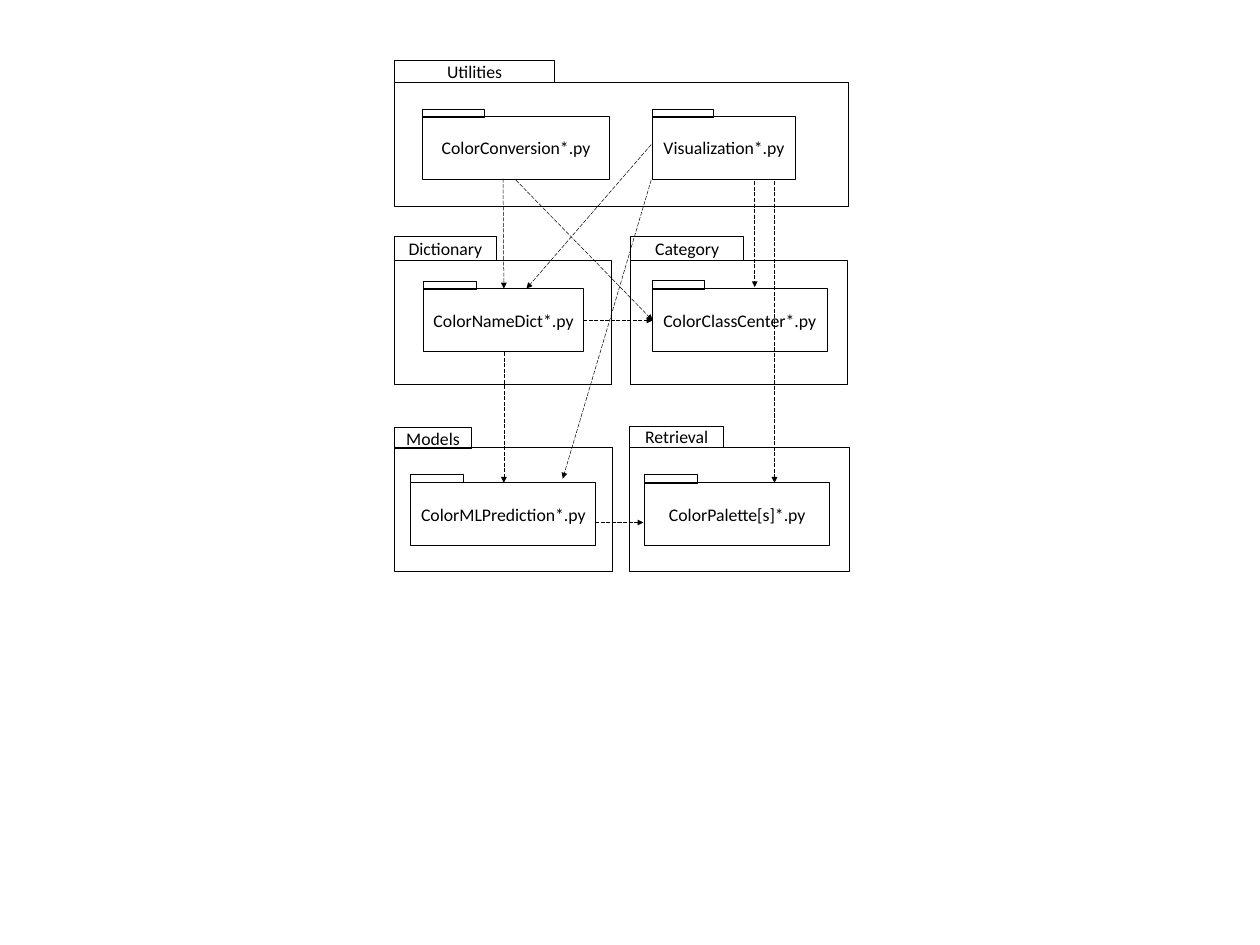
from lxml.etree import SubElement
from pptx import Presentation
from pptx.dml.color import RGBColor
from pptx.enum.dml import MSO_LINE
from pptx.enum.shapes import MSO_CONNECTOR, MSO_SHAPE
from pptx.enum.text import MSO_ANCHOR, PP_ALIGN
from pptx.oxml.ns import qn
from pptx.util import Cm, Pt

SLIDE_SIZE = (45.16, 33.86)
INK = "000000"
FONT = "Calibri"

PACKAGE_HEIGHT = 4.45
# name, left, top, width, tab top, tab width, tab height
PACKAGES = [
    ("Category", 22.61, 9.32, 7.77, 8.48, 4.04, 0.84),
    ("Dictionary", 14.15, 9.32, 7.77, 8.48, 3.63, 0.84),
    ("Models", 14.15, 16.03, 7.82, 15.32, 2.74, 0.76),
    ("Retrieval", 22.58, 16.03, 7.87, 15.27, 3.35, 0.76),
    ("Utilities", 14.15, 2.95, 16.26, 2.18, 5.72, 0.76),
]

MODULE_HEIGHT = 2.26
MODULE_TAB_HEIGHT = 0.3
# name, left, top, width, tab top, tab width
MODULES = [
    ("ColorClassCenter*.py", 23.38, 10.34, 6.27, 10.06, 1.88),
    ("ColorMLPrediction*.py", 14.73, 17.3, 6.63, 16.99, 1.88),
    ("ColorPalette[s]*.py", 23.11, 17.3, 6.63, 17.02, 1.88),
    ("ColorNameDict*.py", 15.19, 10.34, 5.72, 10.08, 1.88),
    ("Visualization*.py", 23.37, 4.17, 5.16, 3.91, 2.21),
    ("ColorConversion*.py", 15.16, 4.17, 6.68, 3.91, 2.21),
]

# from x, from y, to x, to y
DEPENDENCIES = [
    (18.03, 6.4, 18.06, 10.34),
    (23.34, 5.18, 18.87, 10.34),
    (27.05, 6.5, 27.05, 10.29),
    (27.76, 6.5, 27.76, 17.3),
    (23.34, 6.45, 20.17, 17.15),
    (18.06, 12.62, 18.06, 17.3),
    (20.9, 11.48, 23.39, 11.48),
    (18.49, 6.45, 23.39, 11.48),
    (21.34, 18.72, 23.06, 18.72),
]


def color(value):
    return RGBColor.from_string(value)


def add_box(slide, left, top, width, height, text=""):
    shape = slide.shapes.add_shape(
        MSO_SHAPE.RECTANGLE, Cm(left), Cm(top), Cm(width), Cm(height))
    shape.shadow.inherit = False
    shape.fill.background()
    shape.line.color.rgb = color(INK)
    shape.line.width = Pt(1)
    if text:
        frame = shape.text_frame
        frame.word_wrap = True
        frame.vertical_anchor = MSO_ANCHOR.MIDDLE
        frame.margin_left = frame.margin_right = 0
        frame.margin_top = frame.margin_bottom = 0
        frame.text = text
        paragraph = frame.paragraphs[0]
        paragraph.alignment = PP_ALIGN.CENTER
        paragraph.font.name = FONT
        paragraph.font.size = Pt(18)
        paragraph.font.color.rgb = color(INK)


def add_dependency(slide, *ends):
    connector = slide.shapes.add_connector(
        MSO_CONNECTOR.STRAIGHT, *(Cm(value) for value in ends))
    connector.line.color.rgb = color(INK)
    connector.line.width = Pt(0.5)
    connector.line.dash_style = MSO_LINE.LONG_DASH
    SubElement(connector.line._get_or_add_ln(), qn("a:tailEnd"), type="triangle")
    SubElement(connector._element.spPr, qn("a:effectLst"))


def main():
    presentation = Presentation()
    presentation.slide_width, presentation.slide_height = map(Cm, SLIDE_SIZE)
    slide = presentation.slides.add_slide(presentation.slide_layouts[6])

    for name, left, top, width, tab_top, tab_width, tab_height in PACKAGES:
        add_box(slide, left, top, width, PACKAGE_HEIGHT)
        add_box(slide, left, tab_top, tab_width, tab_height, name)
    for name, left, top, width, tab_top, tab_width in MODULES:
        add_box(slide, left, top, width, MODULE_HEIGHT, name)
        add_box(slide, left, tab_top, tab_width, MODULE_TAB_HEIGHT)
    for ends in DEPENDENCIES:
        add_dependency(slide, *ends)

    presentation.save("out.pptx")


if __name__ == "__main__":
    main()
